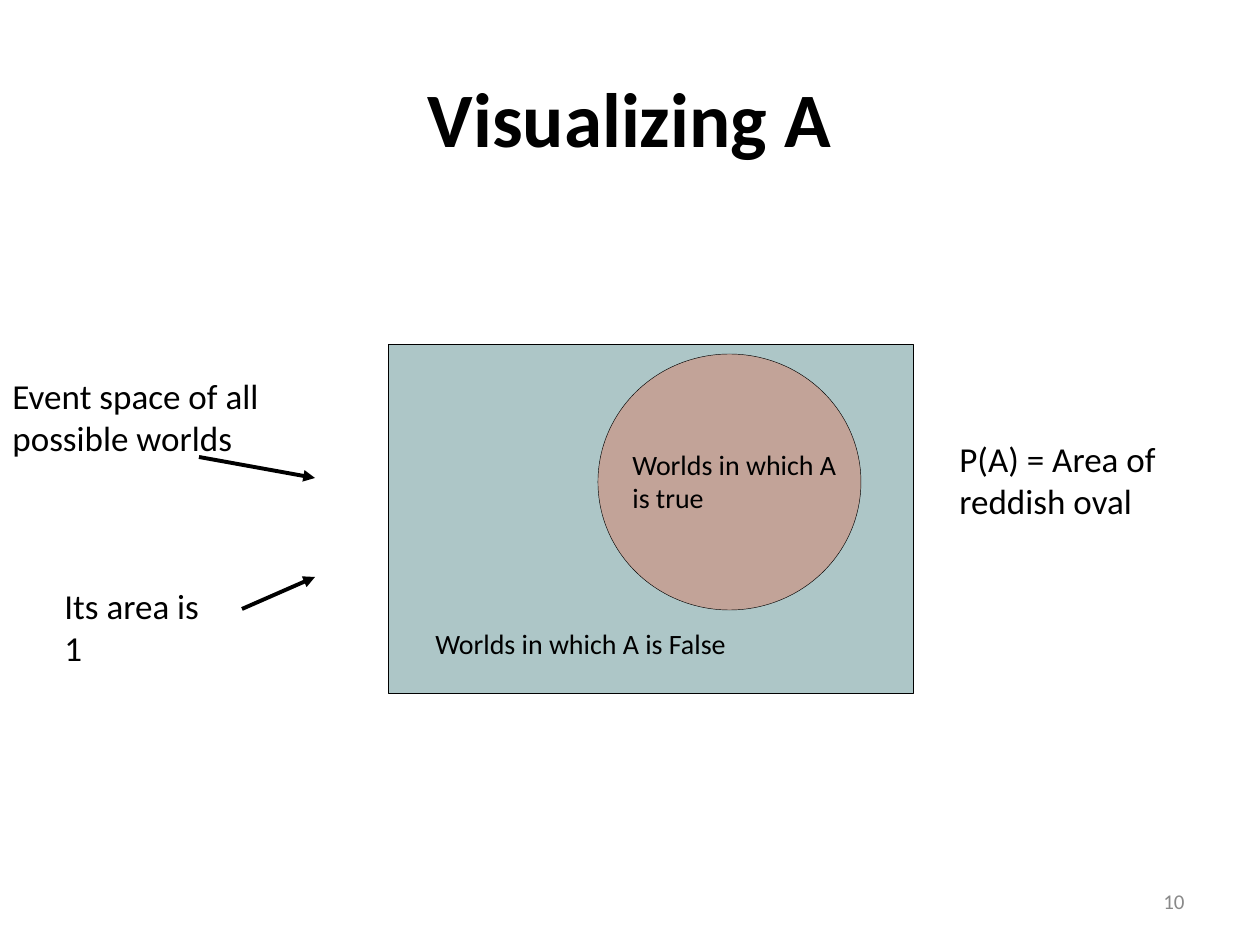
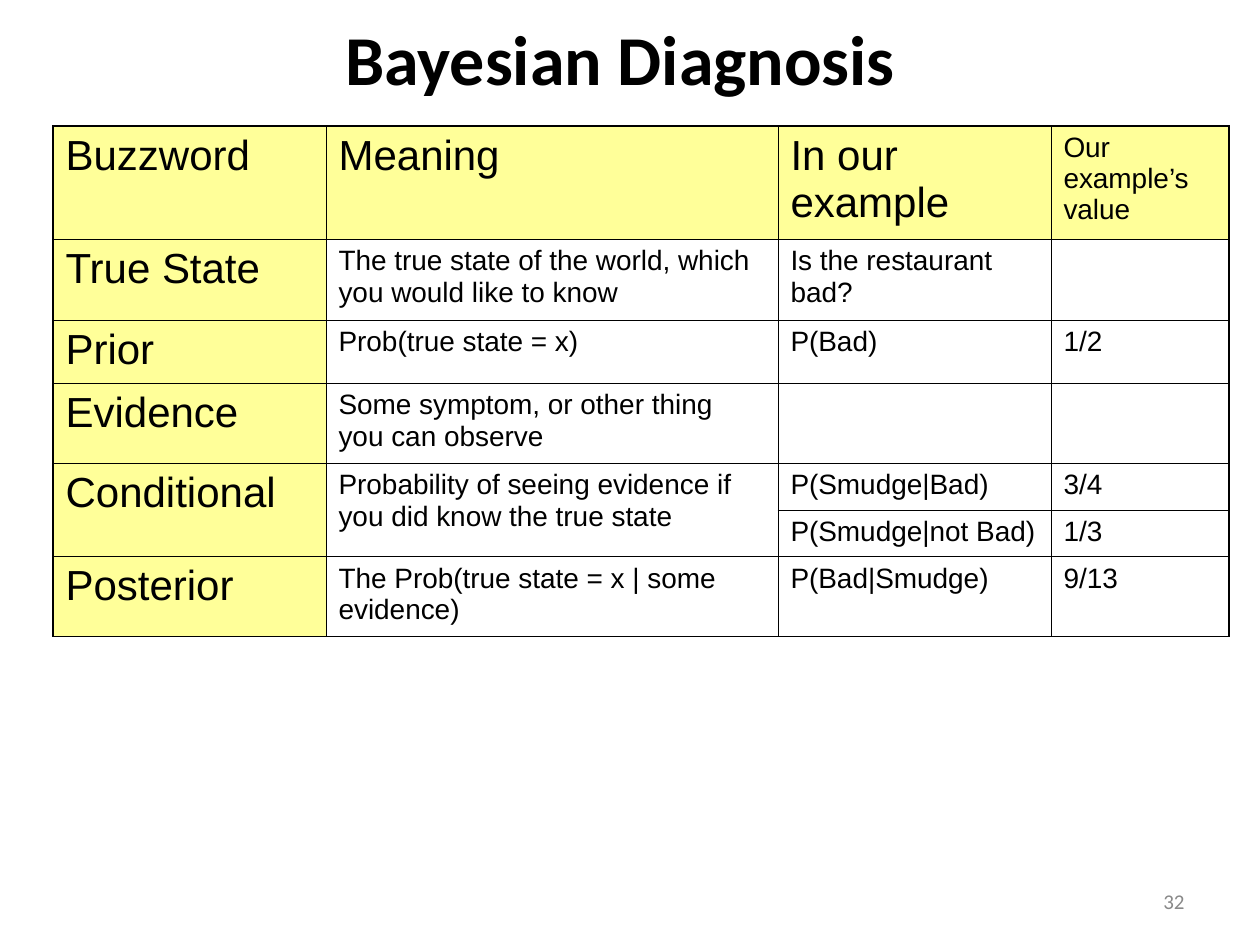
from lxml import etree
from pptx import Presentation
from pptx.dml.color import RGBColor
from pptx.enum.shapes import MSO_CONNECTOR, MSO_SHAPE
from pptx.enum.text import MSO_ANCHOR, MSO_AUTO_SIZE, PP_ALIGN
from pptx.oxml.ns import qn
from pptx.util import Emu, Pt

STRAIGHT = MSO_CONNECTOR.STRAIGHT
RECTANGLE, OVAL = MSO_SHAPE.RECTANGLE, MSO_SHAPE.OVAL
MIDDLE = MSO_ANCHOR.MIDDLE
FIT_SHAPE = MSO_AUTO_SIZE.SHAPE_TO_FIT_TEXT
LEFT, CENTER, RIGHT = PP_ALIGN.LEFT, PP_ALIGN.CENTER, PP_ALIGN.RIGHT

EMU_PER_PX = 914400 / 126
TITLE_ONLY = 5
BODY_FONT, TABLE_FONT = "Calibri", "Arial"

BLACK = RGBColor(0x00, 0x00, 0x00)
GREY = RGBColor(0x89, 0x89, 0x89)
TEAL = RGBColor(0xAD, 0xC6, 0xC7)
REDDISH = RGBColor(0xC2, 0xA3, 0x98)
YELLOW = RGBColor(0xFF, 0xFF, 0x99)

OUTER_BORDER, INNER_BORDER = 1.08, 0.45
COLUMN_WIDTHS = [273, 452, 273, 178]
ROW_HEIGHTS = [113, 81, 63, 80, 47, 46, 80]
DIAGNOSIS_ROWS = [
    ["Buzzword", "Meaning", "In our example", "Our example’s value"],
    ["True State", "The true state of the world, which you would like to know",
     "Is the restaurant bad?", ""],
    ["Prior", "Prob(true state = x)", "P(Bad)", "1/2"],
    ["Evidence", "Some symptom, or other thing you can observe", "", ""],
    ["Conditional", "Probability of seeing evidence if you did know the true state",
     "P(Smudge|Bad)", "3/4"],
    ["", "", "P(Smudge|not Bad)", "1/3"],
    ["Posterior", "The Prob(true state = x | some evidence)", "P(Bad|Smudge)", "9/13"],
]
CONDITIONAL_ROW = 4


def px(length):
    return Emu(round(length * EMU_PER_PX))


def set_text(frame, text, size, font=BODY_FONT, color=BLACK, align=LEFT, bold=False):
    frame.text = text
    for paragraph in frame.paragraphs:
        paragraph.alignment = align
        paragraph.font.name = font
        paragraph.font.size = Pt(size)
        paragraph.font.bold = bold
        paragraph.font.color.rgb = color


def add_page(deck, title, title_box, title_size, number):
    page = deck.slides.add_slide(deck.slide_layouts[TITLE_ONLY])
    heading = page.shapes.title
    heading.left, heading.top, heading.width, heading.height = map(px, title_box)
    heading.text_frame.vertical_anchor = MIDDLE
    set_text(heading.text_frame, title, title_size, align=CENTER, bold=True)
    box = page.shapes.add_textbox(*map(px, (903, 876, 294, 50)))
    box.text_frame.word_wrap = True
    box.text_frame.vertical_anchor = MIDDLE
    set_text(box.text_frame, str(number), 12, color=GREY, align=RIGHT)
    return page


def add_label(page, text, bounds, size, wrap=False):
    box = page.shapes.add_textbox(*map(px, bounds))
    box.text_frame.word_wrap = wrap
    box.text_frame.auto_size = FIT_SHAPE
    set_text(box.text_frame, text, size)


def add_region(page, kind, bounds, color):
    region = page.shapes.add_shape(kind, *map(px, bounds))
    region.shadow.inherit = False
    region.fill.solid()
    region.fill.fore_color.rgb = color
    region.line.color.rgb = BLACK
    region.line.width = Pt(0.25)


def add_arrow(page, start, end):
    arrow = page.shapes.add_connector(STRAIGHT, *map(px, start + end))
    arrow.line.color.rgb = BLACK
    arrow.line.width = Pt(2.25)
    properties = arrow._element.spPr
    etree.SubElement(properties.find(qn("a:ln")), qn("a:tailEnd"), type="triangle")
    etree.SubElement(properties, qn("a:effectLst"))


def set_borders(cell, outer_sides):
    properties = cell._tc.get_or_add_tcPr()
    for side in "LRTB":
        width = OUTER_BORDER if side in outer_sides else INNER_BORDER
        line = etree.SubElement(properties, qn(f"a:ln{side}"), w=str(Pt(width)))
        fill = etree.SubElement(line, qn("a:solidFill"))
        etree.SubElement(fill, qn("a:srgbClr"), val=str(BLACK))


def add_grid(page, rows, left, top):
    last_row, last_column = len(ROW_HEIGHTS) - 1, len(COLUMN_WIDTHS) - 1
    frame = page.shapes.add_table(
        len(ROW_HEIGHTS), len(COLUMN_WIDTHS), px(left), px(top),
        px(sum(COLUMN_WIDTHS)), px(sum(ROW_HEIGHTS)))
    table = frame.table
    table.first_row = table.horz_banding = False
    for column, width in zip(table.columns, COLUMN_WIDTHS):
        column.width = px(width)
    for row, height in zip(table.rows, ROW_HEIGHTS):
        row.height = px(height)
    for r, texts in enumerate(rows):
        for c, text in enumerate(texts):
            cell = table.cell(r, c)
            edges = {"L": c == 0, "R": c == last_column, "T": r == 0, "B": r == last_row}
            set_borders(cell, [side for side, outer in edges.items() if outer])
            if r == 0 or c == 0:
                cell.fill.solid()
                cell.fill.fore_color.rgb = YELLOW
            else:
                cell.fill.background()
            large = c == 0 or (r == 0 and c < last_column)
            set_text(cell.text_frame, text, 24 if large else 16, font=TABLE_FONT)
    for c in (0, 1):
        table.cell(CONDITIONAL_ROW, c).merge(table.cell(CONDITIONAL_ROW + 1, c))


def build_event_space(deck):
    page = add_page(deck, "Visualizing A", (63, 38, 1134, 158), 44, 10)
    add_label(page, "Event space of all possible worlds", (0, 368, 294, 97), 20, wrap=True)
    add_label(page, "Its area is 1", (52, 578, 185, 55), 20)
    add_region(page, RECTANGLE, (388, 344, 525, 349), TEAL)
    add_region(page, OVAL, (598, 354, 263, 256), REDDISH)
    add_label(page, "Worlds in which A is False", (423, 620, 318, 47), 16)
    add_label(page, "Worlds in which A is true", (620, 441, 233, 81), 16, wrap=True)
    add_label(page, "P(A) = Area of\nreddish oval", (947, 431, 222, 97), 20)
    add_arrow(page, (199, 457), (315, 478))
    add_arrow(page, (242, 609), (315, 577))


def build_diagnosis(deck):
    page = add_page(deck, "Bayesian Diagnosis", (32, 10, 1176, 95), 40, 32)
    add_grid(page, DIAGNOSIS_ROWS, 53, 126)


def main():
    deck = Presentation()
    deck.slide_width, deck.slide_height = px(1260), px(945)
    build_event_space(deck)
    build_diagnosis(deck)
    deck.save("out.pptx")


if __name__ == "__main__":
    main()
